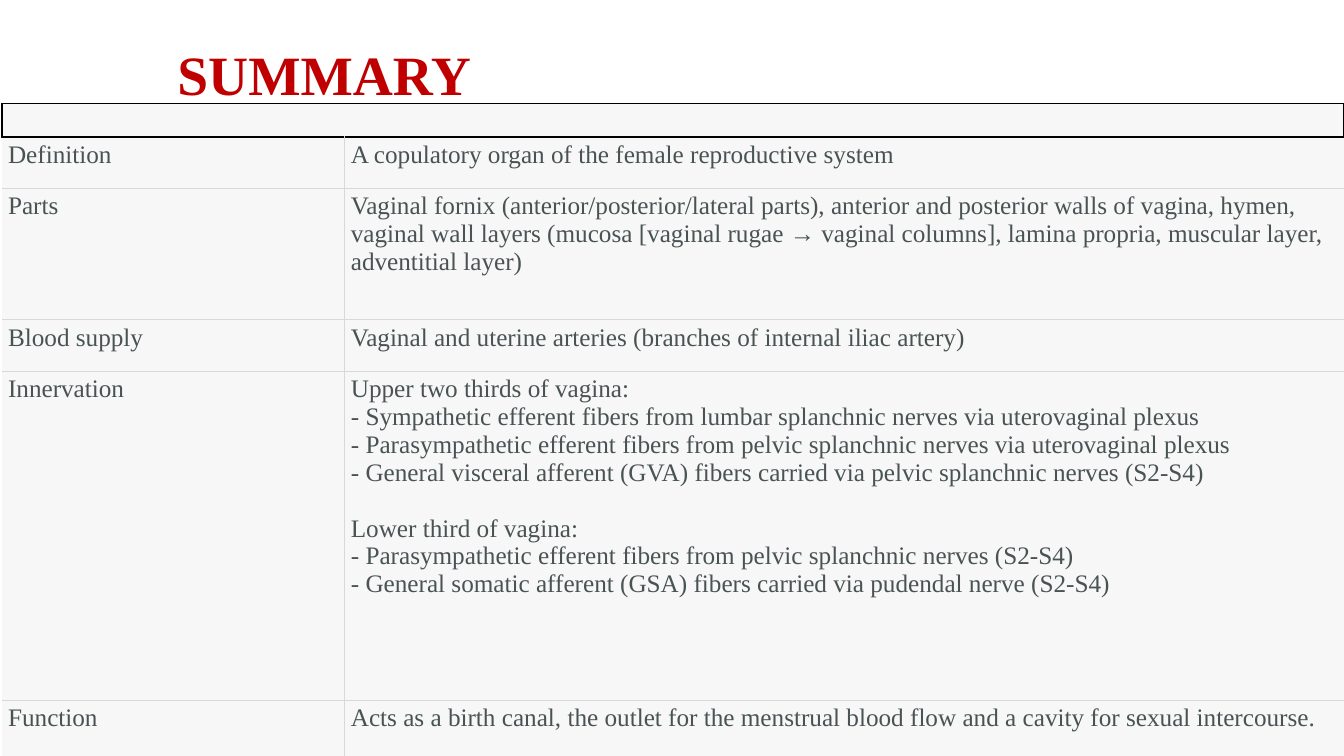
from lxml.etree import SubElement
from pptx import Presentation
from pptx.dml.color import RGBColor
from pptx.enum.text import MSO_ANCHOR, MSO_AUTO_SIZE, PP_ALIGN
from pptx.oxml.ns import qn
from pptx.util import Inches, Pt

RED = RGBColor(0xC0, 0x00, 0x00)
SLATE = RGBColor(0x49, 0x53, 0x54)
PALE_GREY = RGBColor(0xF7, 0xF7, 0xF7)
RULE_GREY = RGBColor(0xD8, 0xD8, 0xD8)
BLACK = RGBColor(0x00, 0x00, 0x00)

COLUMN_WIDTHS = [3.4, 9.91]
HEADER_HEIGHT = 0.33
# Topic, paragraphs of the description, row height
SUMMARY_ROWS = [
    ("Definition", ["A copulatory organ of the female reproductive system"], 0.51),
    ("Parts", [
        "Vaginal fornix (anterior/posterior/lateral parts), anterior and posterior walls of "
        "vagina, hymen, vaginal wall layers (mucosa [vaginal rugae → vaginal columns], lamina "
        "propria, muscular layer, adventitial layer)"], 1.3),
    ("Blood supply", ["Vaginal and uterine arteries (branches of internal iliac artery)"], 0.51),
    ("Innervation", [
        "Upper two thirds of vagina:\n"
        "- Sympathetic efferent fibers from lumbar splanchnic nerves via uterovaginal plexus\n"
        "- Parasympathetic efferent fibers from pelvic splanchnic nerves via uterovaginal plexus\n"
        "- General visceral afferent (GVA) fibers carried via pelvic splanchnic nerves (S2-S4)",
        "Lower third of vagina:\n"
        "- Parasympathetic efferent fibers from pelvic splanchnic nerves (S2-S4)\n"
        "- General somatic afferent (GSA) fibers carried via pudendal nerve (S2-S4)"], 3.27),
    ("Function", [
        "Acts as a birth canal, the outlet for the menstrual blood flow and a cavity for "
        "sexual intercourse."], 0.7),
]


def set_attributes(target, values):
    for name, value in values.items():
        setattr(target, name, value)


class SummarySlide:
    title_font = {"name": "Times New Roman", "size": Pt(39.6), "bold": True}
    body_font = {"name": "Times New Roman", "size": Pt(18), "bold": False}

    def __init__(self, presentation):
        self.slide = presentation.slides.add_slide(presentation.slide_layouts[5])

    def set_text(self, paragraph, text, font, color):
        paragraph.text = text
        for run in paragraph.runs:
            set_attributes(run.font, font)
            run.font.color.rgb = color

    def add_title(self, text):
        title = self.slide.shapes.title
        set_attributes(title, {"left": Inches(1.66), "top": Inches(-0.1),
                               "width": Inches(6.49), "height": Inches(1.2)})
        set_attributes(title.text_frame, {
            "vertical_anchor": MSO_ANCHOR.BOTTOM, "auto_size": MSO_AUTO_SIZE.NONE,
            "margin_left": Inches(0.1), "margin_bottom": Inches(0.03)})
        paragraph = title.text_frame.paragraphs[0]
        set_attributes(paragraph, {"alignment": PP_ALIGN.LEFT, "line_spacing": 0.9})
        self.set_text(paragraph, text, self.title_font, RED)

    def format_cell(self, cell, borders, margin_x=0.06, margin_y=0.04):
        """Borders map a side (L, R, T, B) to a colour and a width, or to None."""
        set_attributes(cell, {
            "margin_left": Inches(margin_x), "margin_right": Inches(margin_x),
            "margin_top": Inches(margin_y), "margin_bottom": Inches(margin_y)})
        properties = cell._tc.get_or_add_tcPr()
        for side, border in borders.items():
            line = SubElement(properties, qn(f"a:ln{side}"))
            if border is None:
                SubElement(line, qn("a:noFill"))
                continue
            color, width = border
            line.set("w", str(Pt(width)))
            fill = SubElement(line, qn("a:solidFill"))
            SubElement(fill, qn("a:srgbClr")).set("val", str(color))
        cell.fill.solid()
        cell.fill.fore_color.rgb = PALE_GREY

    def fill_cell(self, cell, texts):
        for index, text in enumerate(texts):
            frame = cell.text_frame
            paragraph = frame.add_paragraph() if index else frame.paragraphs[0]
            if index:
                paragraph.space_before = Pt(20)
            self.set_text(paragraph, text, self.body_font, SLATE)

    def add_table(self, rows):
        heights = [HEADER_HEIGHT] + [height for _, _, height in rows]
        table = self.slide.shapes.add_table(
            len(heights), len(COLUMN_WIDTHS), Inches(0.02), Inches(1.03),
            Inches(sum(COLUMN_WIDTHS)), Inches(sum(heights))).table
        set_attributes(table, {"first_row": False, "horz_banding": False})
        for column, width in zip(table.columns, COLUMN_WIDTHS):
            column.width = Inches(width)
        for row, height in zip(table.rows, heights):
            row.height = Inches(height)

        frame_line, rule = (BLACK, 1), (RULE_GREY, 0.6)
        table.cell(0, 0).merge(table.cell(0, 1))
        self.format_cell(table.cell(0, 0), dict.fromkeys("LRTB", frame_line), margin_y=0)
        self.format_cell(table.cell(0, 1), dict.fromkeys("RTB", frame_line), margin_y=0)
        for number, (topic, description, _) in enumerate(rows, start=1):
            top = frame_line if number == 1 else rule
            bottom = None if number == len(rows) else rule
            for column, texts in enumerate(([topic], description)):
                cell = table.cell(number, column)
                self.format_cell(cell, {"L": rule if column else None,
                                        "R": None if column else rule,
                                        "T": top, "B": bottom})
                self.fill_cell(cell, texts)


def main():
    presentation = Presentation()
    set_attributes(presentation, {"slide_width": Inches(13.33), "slide_height": Inches(7.5)})
    summary = SummarySlide(presentation)
    summary.add_title("SUMMARY")
    summary.add_table(SUMMARY_ROWS)
    presentation.save("out.pptx")


if __name__ == "__main__":
    main()
